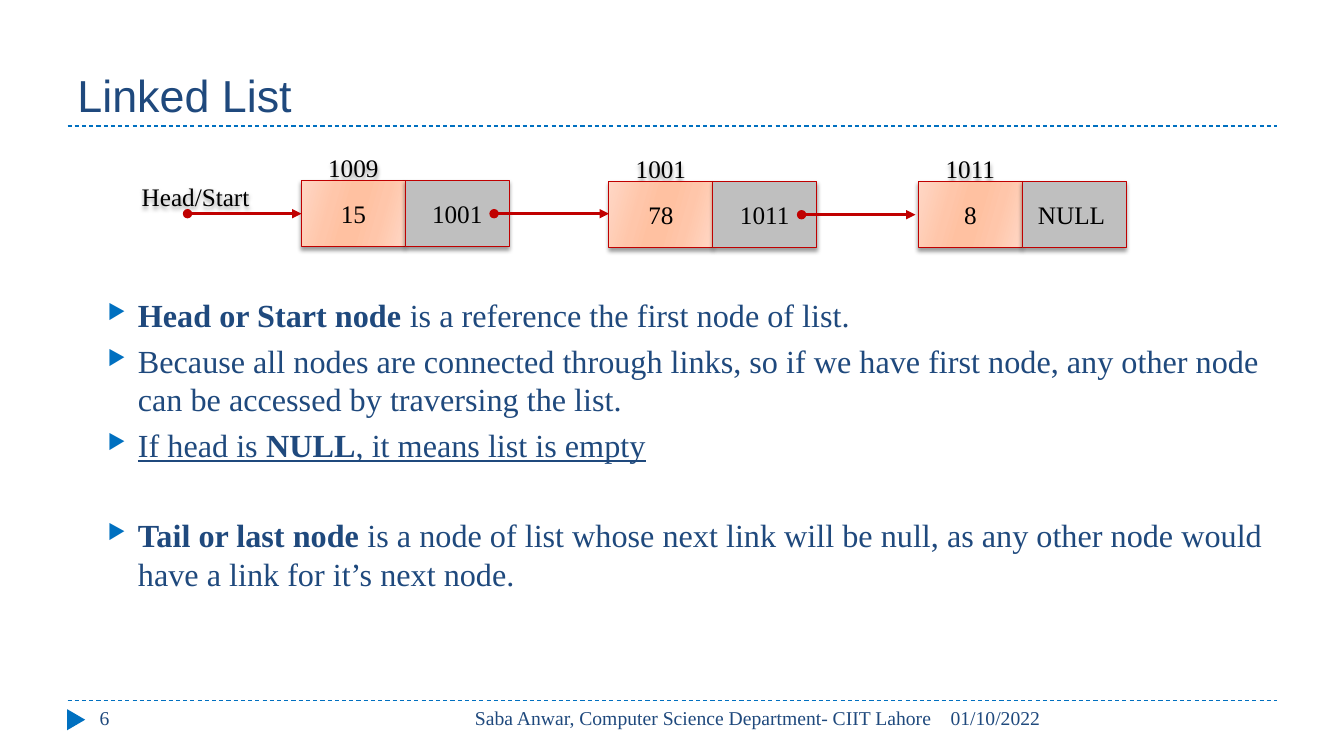
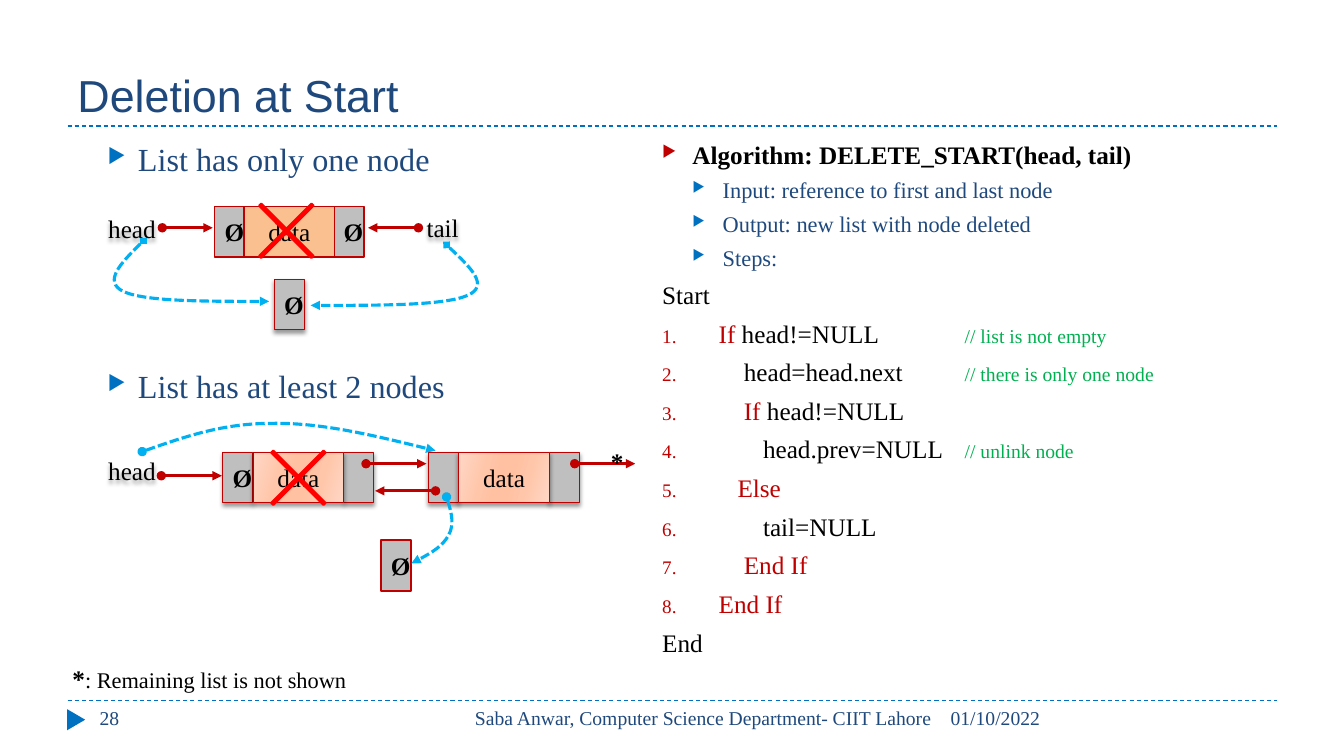
from lxml import etree
from pptx import Presentation
from pptx.dml.color import RGBColor
from pptx.enum.dml import MSO_LINE
from pptx.enum.shapes import MSO_CONNECTOR, MSO_SHAPE
from pptx.enum.text import MSO_ANCHOR, PP_ALIGN
from pptx.oxml.ns import qn
from pptx.util import Inches, Pt

STRAIGHT = MSO_CONNECTOR.STRAIGHT
RECTANGLE, TRIANGLE = MSO_SHAPE.RECTANGLE, MSO_SHAPE.ISOSCELES_TRIANGLE
CROSS = MSO_SHAPE.MATH_MULTIPLY
DASH, SHORT_DASH = MSO_LINE.DASH, MSO_LINE.SQUARE_DOT
TOP, MIDDLE, BOTTOM = MSO_ANCHOR.TOP, MSO_ANCHOR.MIDDLE, MSO_ANCHOR.BOTTOM
CENTER, RIGHT = PP_ALIGN.CENTER, PP_ALIGN.RIGHT

COLOURS = {
    "navy": "1F497D", "blue": "0070C0", "sky": "00B0F0", "red": "C00000",
    "cross": "FF0000", "green": "00B050", "grey": "BFBFBF", "orange": "FAC090",
    "black": "000000",
}
PEACH_STOPS = {0: "FFD7C5", 30: "FFC6AA", 45: "FFC1A1", 55: "FFC1A1", 73: "FFC6AA", 100: "FFD7C5"}
TITLE_FONT, BODY_FONT = "Arial", "Times New Roman"
ARROW = ("buChar", {"char": "▶"}, "64000")
NUMBER = ("buAutoNum", {"type": "arabicPeriod"}, "76000")
LOOKS = {
    "plain": {},
    "centred": {"format": {"alignment": CENTER}},
    "right": {"format": {"alignment": RIGHT}},
    "topic": {"indent": (0.3, -0.3), "bullet": ARROW, "colour": "red"},
    "point": {"indent": (0.6, -0.3), "bullet": ARROW, "colour": "blue"},
    "step": {"indent": (0.56, -0.56), "bullet": NUMBER, "colour": "red"},
}


def write(shape, paragraphs, anchor=TOP, wrap=True, font_name=BODY_FONT):
    frame = shape.text_frame
    frame.word_wrap = wrap
    frame.vertical_anchor = anchor
    for index, (look_name, before, runs) in enumerate(paragraphs):
        look = LOOKS[look_name]
        paragraph = frame.add_paragraph() if index else frame.paragraphs[0]
        paragraph.space_before = Pt(before)
        for name, value in look.get("format", {}).items():
            setattr(paragraph, name, value)
        if "bullet" in look:
            properties = paragraph._p.get_or_add_pPr()
            margin, indent = look["indent"]
            for name, value in {"marL": margin, "indent": indent, "defTabSz": 1}.items():
                properties.set(name, str(Inches(value)))
            tag, attributes, size = look["bullet"]
            bullet_colour = etree.SubElement(properties, qn("a:buClr"))
            etree.SubElement(bullet_colour, qn("a:srgbClr"), val=COLOURS[look["colour"]])
            etree.SubElement(properties, qn("a:buSzPct"), val=size)
            etree.SubElement(properties, qn("a:" + tag), attributes)
        for text, size, colour, *flags in runs:
            run = paragraph.add_run()
            run.text = text
            run.font.name = font_name
            run.font.size = Pt(size)
            run.font.color.rgb = RGBColor.from_string(COLOURS[colour])
            for flag in flags:
                setattr(run.font, flag, True)


def finish(shape, colour=None, width=0.75, dash=None, ends=None, shadow=False):
    if colour:
        shape.line.color.rgb = RGBColor.from_string(COLOURS[colour])
        shape.line.width = Pt(width)
        if dash:
            shape.line.dash_style = dash
    else:
        shape.line.fill.background()
    properties = shape._element.spPr
    if ends:
        outline = properties.find(qn("a:ln"))
        for tag, kind in zip(("a:headEnd", "a:tailEnd"), ends):
            etree.SubElement(outline, qn(tag), type=kind)
    effects = etree.SubElement(properties, qn("a:effectLst"))
    if shadow:
        outer = etree.SubElement(effects, qn("a:outerShdw"), blurRad="38100", dist="25400",
                                 dir="5400000", rotWithShape="0")
        tint = etree.SubElement(outer, qn("a:srgbClr"), val=COLOURS["black"])
        etree.SubElement(tint, qn("a:alpha"), val="40000")


deck = Presentation()
deck.slide_width, deck.slide_height = Inches(13.33), Inches(7.5)
slides = []
for title, number in (("Linked List", "6"), ("Deletion at Start", "28")):
    slide = deck.slides.add_slide(deck.slide_layouts[6])
    slides.append(slide)
    for y in (6.95, 1.25):
        rule = slide.shapes.add_connector(STRAIGHT, Inches(0.67), Inches(y), Inches(12.67), Inches(y))
        finish(rule, "blue", dash=DASH)
    marker = slide.shapes.add_shape(TRIANGLE, Inches(0.65), Inches(7.05), Inches(0.21), Inches(0.18))
    marker.rotation = 90
    marker.fill.solid()
    marker.fill.fore_color.rgb = RGBColor.from_string(COLOURS["blue"])
    finish(marker)
    heading = slide.shapes.add_textbox(Inches(0.67), Inches(0.17), Inches(12), Inches(1.08))
    write(heading, [("plain", 0, [(title, 32, "navy")])], BOTTOM, font_name=TITLE_FONT)
    for left, width, look, text in (
        (9.33, 3.34, "plain", "01/10/2022"),
        (4.23, 5.11, "right", "Saba Anwar, Computer Science Department- CIIT Lahore"),
        (0.89, 2.89, "plain", number),
    ):
        footer = slide.shapes.add_textbox(Inches(left), Inches(6.95), Inches(width), Inches(0.4))
        write(footer, [(look, 0, [(text, 14, "navy")])])

linked, deletion = slides

linked_points = [
    ("point", 0, [("Head or Start node ", 23, "navy", "bold"),
                  ("is a reference the first node of list.", 23, "navy")]),
    ("point", 5, [("Because all nodes are connected through links, so if we have first node, "
                   "any other node can be accessed by traversing the list.", 23, "navy")]),
    ("point", 5, [("If head is ", 23, "navy", "underline"),
                  ("NULL", 23, "navy", "bold", "underline"),
                  (", it means list is empty", 23, "navy", "underline")]),
    ("point", 37, [("Tail or last node ", 23, "navy", "bold"),
                   ("is a node of list whose next link will be null, as any other node "
                    "would have a link for it’s next node.", 23, "navy")]),
]
cases = [
    ("point", 0, [("List has only one node", 23, "navy")]),
    ("point", 135, [("List has at least 2 nodes", 23, "navy")]),
]
algorithm = [("topic", 0, [("Algorithm: DELETE_START(head, tail)", 18, "black", "bold")])]
for text in ("Input: reference to first and last node", "Output: new list with node deleted", "Steps:"):
    algorithm.append(("point", 5, [(text, 16, "navy")]))
algorithm.append(("plain", 6, [("Start", 18, "black")]))
for keyword, code, comment in (
    ("If", " head!=NULL\t", "// list is not empty"),
    ("", "    head=head.next \t", "// there is only one node"),
    ("    If", " head!=NULL", ""),
    ("", "\thead.prev=NULL \t", "// unlink node"),
    ("   Else", "", ""),
    ("", "\ttail=NULL", ""),
    ("    End If", "", ""),
    ("End If", "", ""),
):
    parts = [(keyword, 18, "red"), (code, 18, "black"), (comment, 14, "green")]
    algorithm.append(("step", 6, [part for part in parts if part[0]]))
algorithm.append(("plain", 6, [("End", 18, "black")]))

for slide, left, top, width, height, paragraphs in (
    (linked, 0.67, 2.88, 12, 3.85, linked_points),
    (deletion, 0.67, 1.33, 5.03, 5.4, cases),
    (deletion, 6.47, 1.33, 6.2, 5.4, algorithm),
):
    body = slide.shapes.add_textbox(Inches(left), Inches(top), Inches(width), Inches(height))
    write(body, paragraphs)

labels = [
    (linked, 1.26, 1.81, 1.36, 0.27, "Head/Start"),
    (deletion, 0.96, 2.12, 0.7, 0.3, "head"),
    (deletion, 4.04, 2.11, 0.7, 0.3, "tail"),
    (deletion, 0.96, 4.52, 0.7, 0.3, "head"),
]
cells = []
for left, top, address, data, link in (
    (2.99, 1.79, "1009", "15", "1001"),
    (6.04, 1.8, "1001", "78", "1011"),
    (9.11, 1.8, "1011", "8", "NULL "),
):
    labels.append((linked, left, top - 0.25, 1.03, 0.25, address))
    cells.append((linked, left, top, 1.03, 0.66, data, "peach", 0.75, True))
    cells.append((linked, left + 1.03, top, 1.03, 0.66, link, "grey", 0.75, True))
for left, top, previous, following, fill, border, shadow, overlap in (
    (2.13, 2.05, "Ø", "Ø", "orange", 1, False, 0.01),
    (2.21, 4.49, "Ø", "", "peach", 0.75, True, 0),
    (4.25, 4.49, "", "", "peach", 0.75, True, 0),
):
    for offset, width, text, colour in (
        (0, 0.3, previous, "grey"),
        (1.2 - 2 * overlap, 0.3, following, "grey"),
        (0.3 - overlap, 0.9, "data", fill),
    ):
        cells.append((deletion, left + offset, top, width, 0.5, text, colour, border, shadow))
cells.append((deletion, 2.72, 2.77, 0.3, 0.5, "Ø", "grey", 0.75, True))
cells.append((deletion, 3.78, 5.36, 0.3, 0.5, "Ø", "grey", 1.5, False))

for slide, left, top, width, height, text in labels:
    label = slide.shapes.add_textbox(Inches(left), Inches(top), Inches(width), Inches(height))
    write(label, [("centred", 0, [(text, 18, "black")])], MIDDLE)
    finish(label, shadow=True)

for slide, left, top, width, height, text, fill, border, shadow in cells:
    cell = slide.shapes.add_shape(RECTANGLE, Inches(left), Inches(top), Inches(width), Inches(height))
    if fill == "peach":
        cell.fill.gradient()
        cell.fill.gradient_angle = 344
        stops = cell._element.spPr.find(qn("a:gradFill")).find(qn("a:gsLst"))
        for stop in list(stops):
            stops.remove(stop)
        for position, tone in PEACH_STOPS.items():
            stop = etree.SubElement(stops, qn("a:gs"), pos=str(position * 1000))
            etree.SubElement(stop, qn("a:srgbClr"), val=tone)
    else:
        cell.fill.solid()
        cell.fill.fore_color.rgb = RGBColor.from_string(COLOURS[fill])
    finish(cell, "red", border, shadow=shadow)
    if text:
        flags = ["bold"] if text == "Ø" else []
        write(cell, [("centred", 0, [(text, 18, "black", *flags)])], MIDDLE)

for slide, start, end, y in (
    (linked, 1.86, 2.99, 2.12),
    (linked, 4.9, 6.04, 2.12),
    (linked, 7.95, 9.08, 2.13),
    (deletion, 1.61, 2.11, 2.26),
    (deletion, 4.15, 3.65, 2.26),
    (deletion, 1.6, 2.2, 4.72),
    (deletion, 3.63, 4.23, 4.6),
    (deletion, 4.32, 3.72, 4.87),
    (deletion, 5.7, 6.3, 4.6),
):
    link_arrow = slide.shapes.add_connector(STRAIGHT, Inches(start), Inches(y), Inches(end), Inches(y))
    finish(link_arrow, "red", 2.25, ends=("oval", "triangle"))

for origin, knots, start_mark in (
    ((1.42, 2.39), [(1.22, 2.59), (1.02, 2.79), (1.22, 2.89), (1.43, 2.99), (2.05, 2.99), (2.67, 2.99)], "diamond"),
    ((4.43, 2.43), [(4.64, 2.63), (4.86, 2.83), (4.64, 2.93), (4.41, 3.03), (3.75, 3.03), (3.08, 3.03)], "diamond"),
    ((1.41, 4.48), [(1.81, 4.34), (2.21, 4.2), (2.69, 4.2), (3.18, 4.19), (3.75, 4.33), (4.32, 4.47)], "oval"),
    ((4.43, 4.93), [(4.47, 5.06), (4.51, 5.2), (4.45, 5.31), (4.39, 5.42), (4.24, 5.51), (4.08, 5.59)], "oval"),
):
    builder = deletion.shapes.build_freeform(Inches(origin[0]), Inches(origin[1]))
    builder.add_line_segments([(Inches(x), Inches(y)) for x, y in knots], close=False)
    new_link = builder.convert_to_shape()
    route = next(new_link._element.iter(qn("a:path")))
    segments = route.findall(qn("a:lnTo"))
    for first in range(0, len(segments), 3):
        curve = etree.SubElement(route, qn("a:cubicBezTo"))
        for segment in segments[first:first + 3]:
            curve.append(segment[0])
            route.remove(segment)
    new_link.fill.background()
    finish(new_link, "sky", 2.25, SHORT_DASH, (start_mark, "triangle"))

for left, top in ((2.34, 1.79), (2.46, 4.24)):
    removal = deletion.shapes.add_shape(CROSS, Inches(left), Inches(top), Inches(1), Inches(1))
    removal.adjustments[0] = 0.029
    removal.fill.solid()
    removal.fill.fore_color.rgb = RGBColor.from_string(COLOURS["cross"])
    finish(removal, "cross", 1.5)

for left, top, width, runs in (
    (5.96, 4.38, 0.33, [("*", 18, "black", "bold")]),
    (0.62, 6.53, 2.96, [("*", 18, "black", "bold"), (": Remaining list is not shown", 16, "black")]),
):
    remark = deletion.shapes.add_textbox(Inches(left), Inches(top), Inches(width), Inches(0.4))
    write(remark, [("plain", 0, runs)], wrap=False)

deck.save("out.pptx")
